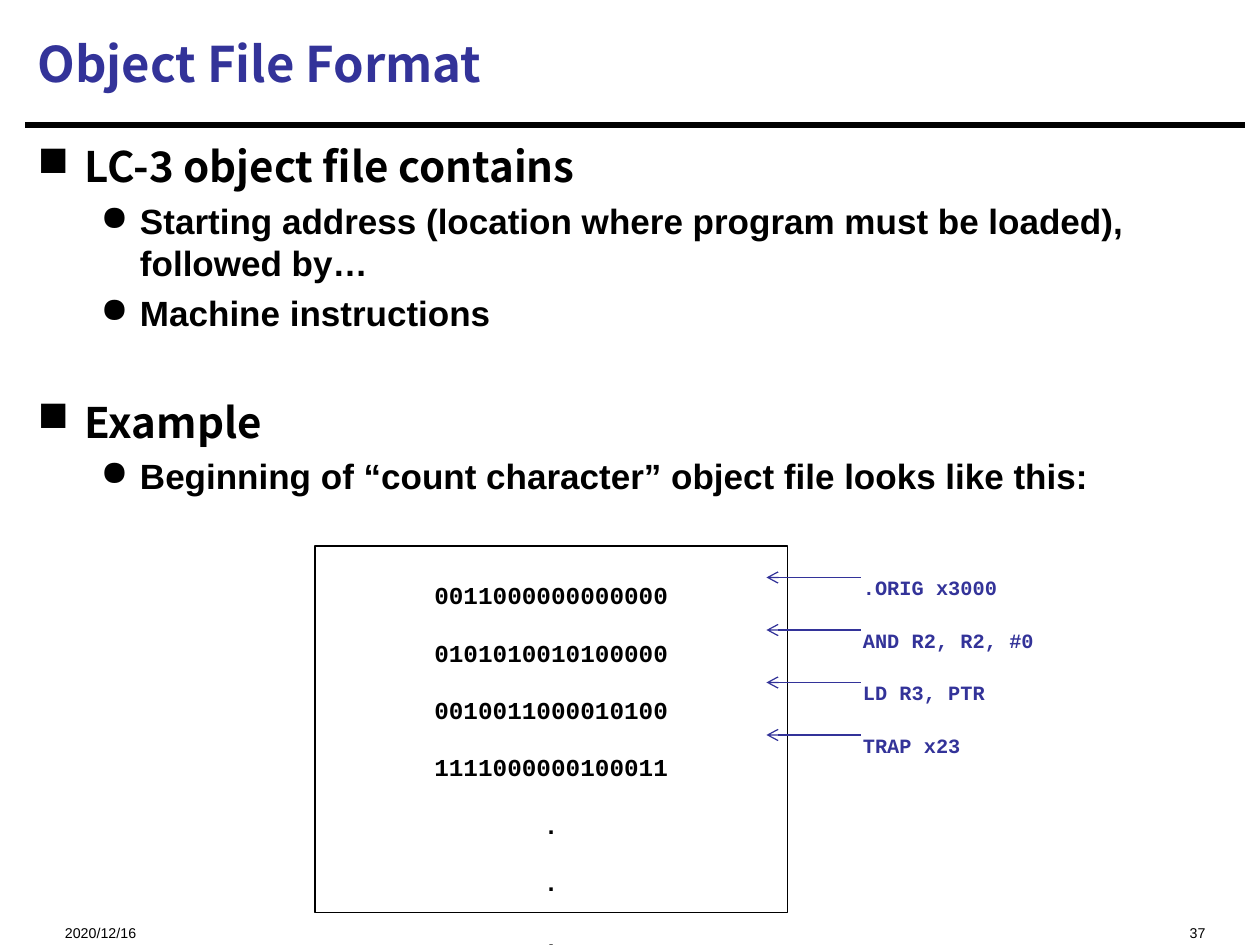
"""Build the slide on the LC-3 object file format."""
from lxml.etree import SubElement
from pptx import Presentation
from pptx.dml.color import RGBColor
from pptx.enum.shapes import MSO_CONNECTOR as Connector, MSO_SHAPE as Shape
from pptx.enum.text import MSO_ANCHOR as Anchor, MSO_AUTO_SIZE as AutoSize, PP_ALIGN as Align
from pptx.oxml.ns import qn
from pptx.util import Pt

BLACK, BLUE = "000000", "333399"
HEADING_FONT, BODY_FONT, CODE_FONT = "Noto Sans CJK SC", "Arial", "Courier New"


def color(value):
    """Turn a hex string into a colour."""
    return RGBColor.from_string(value)


def write(paragraph, text, values, ink, lowered=False):
    """Fill a paragraph and format its runs."""
    paragraph.text = text
    for run in paragraph.runs:
        for name, value in values.items():
            setattr(run.font, name, value)
        run.font.color.rgb = color(ink)
        if lowered:
            run.font._element.set("baseline", "-25000")


presentation = Presentation()
presentation.slide_width, presentation.slide_height = Pt(720), Pt(540)
slide = presentation.slides.add_slide(presentation.slide_layouts[5])
shapes = slide.shapes

title = shapes.title
title.left, title.top, title.width, title.height = Pt(14.4), Pt(6), Pt(696), Pt(60)
title.text_frame.vertical_anchor = Anchor.MIDDLE
title.text_frame.auto_size = AutoSize.NONE
heading = title.text_frame.paragraphs[0]
write(heading, "Object File Format", {"name": HEADING_FONT, "size": Pt(28), "bold": True}, BLUE)
heading.alignment = Align.LEFT

body = shapes.add_textbox(Pt(14.4), Pt(77), Pt(696), Pt(431)).text_frame
body.word_wrap = True
levels = [
    {"bullet": "■", "margin": 27, "hanging": 27, "font": HEADING_FONT, "size": 24},
    {"bullet": "●", "margin": 58.5, "hanging": 22.5, "font": BODY_FONT, "size": 20},
]
points = [
    (0, 0, "LC-3 object file contains"),
    (1, 4.5, "Starting address (location where program must be loaded),\vfollowed by…"),
    (1, 4.5, "Machine instructions"),
    (0, 36, "Example"),
    (1, 4.5, "Beginning of “count character” object file looks like this:"),
]
for index, (level, space, text) in enumerate(points):
    style = levels[level]
    paragraph = body.add_paragraph() if index else body.paragraphs[0]
    paragraph.level = level
    paragraph.space_before = Pt(space)
    properties = paragraph._p.get_or_add_pPr()
    properties.set("marL", str(Pt(style["margin"])))
    properties.set("indent", str(-Pt(style["hanging"])))
    SubElement(properties, qn("a:buChar")).set("char", style["bullet"])
    values = {"name": style["font"], "size": Pt(style["size"]), "bold": True}
    write(paragraph, text, values, BLACK)

code_box = shapes.add_shape(Shape.RECTANGLE, Pt(180), Pt(312), Pt(270), Pt(209.5))
code_box.shadow.inherit = False
code_box.fill.background()
code_box.line.color.rgb = color(BLACK)
code_box.line.width = Pt(0.75)
code_box.text_frame.vertical_anchor = Anchor.TOP
code_box.text_frame.word_wrap = True
words = ["0011000000000000", "0101010010100000", "0010011000010100", "1111000000100011"]
code = code_box.text_frame.paragraphs[0]
code_values = {"name": CODE_FONT, "size": Pt(24), "bold": True}
write(code, "\v".join(words + ["."] * 3), code_values, BLACK, lowered=True)
code.alignment = Align.CENTER

lines = [((14.4, 71.5), (711.4, 71.5), BLACK, 3.75, False)]
label_values = {"name": CODE_FONT, "size": Pt(20), "bold": True}
for row, text in enumerate([".ORIG x3000", "AND R2, R2, #0", "LD R3, PTR", "TRAP x23"]):
    top = 312 + 30 * row
    label = shapes.add_textbox(Pt(486), Pt(top), Pt(184), Pt(31)).text_frame
    label.word_wrap = True
    write(label.paragraphs[0], text, label_values, BLUE, lowered=True)
    lines.append(((492, top + 18), (438, top + 18), BLUE, 0.75, True))

for start, end, ink, width, has_arrow in lines:
    line = shapes.add_connector(Connector.STRAIGHT, *map(Pt, start + end))
    line.line.color.rgb = color(ink)
    line.line.width = Pt(width)
    if has_arrow:
        SubElement(line.line._get_or_add_ln(), qn("a:tailEnd")).set("type", "arrow")
    SubElement(line._element.spPr, qn("a:effectLst"))

footer_values = {"name": BODY_FONT, "size": Pt(14)}
for left, width, text, alignment in [
    (30, 180, "2020/12/16", Align.LEFT),
    (480, 216, "37", Align.RIGHT),
]:
    footer = shapes.add_textbox(Pt(left), Pt(515), Pt(width), Pt(19.5)).text_frame
    footer.word_wrap = True
    write(footer.paragraphs[0], text, footer_values, BLACK, lowered=True)
    footer.paragraphs[0].alignment = alignment

presentation.save("out.pptx")
